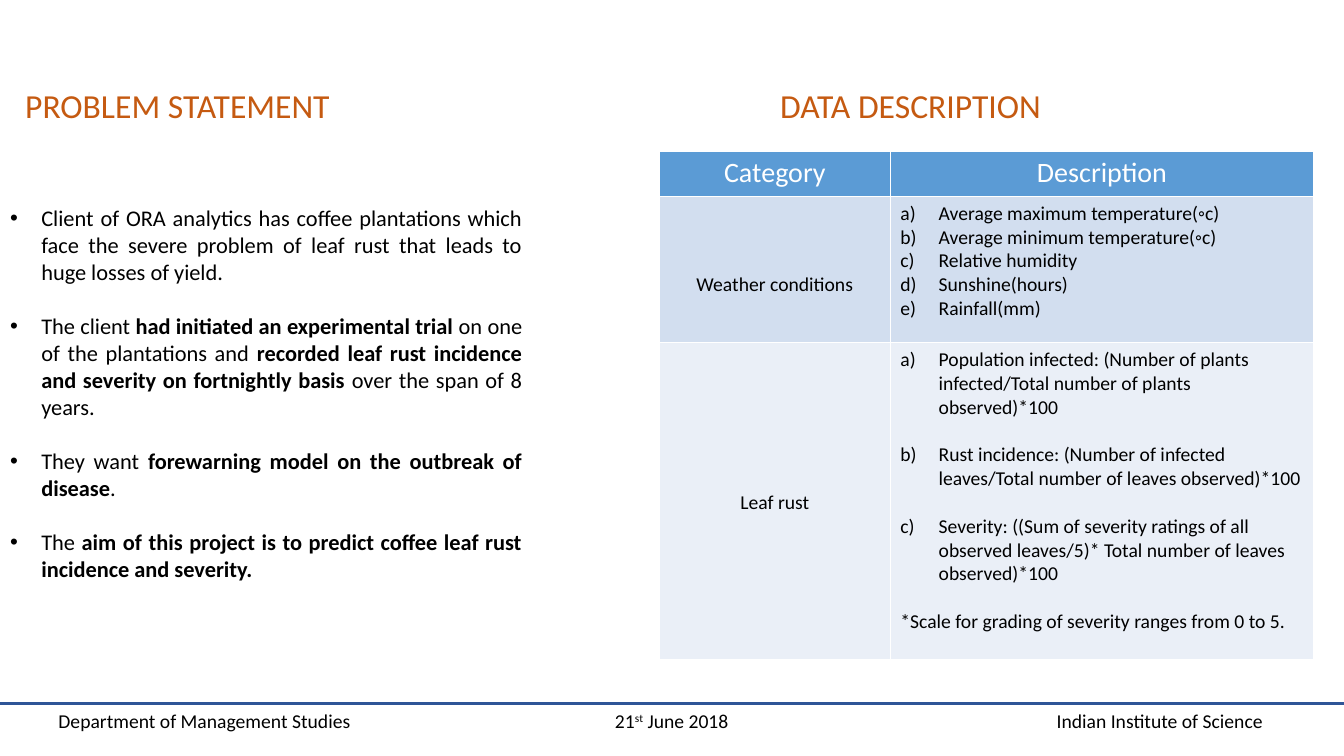
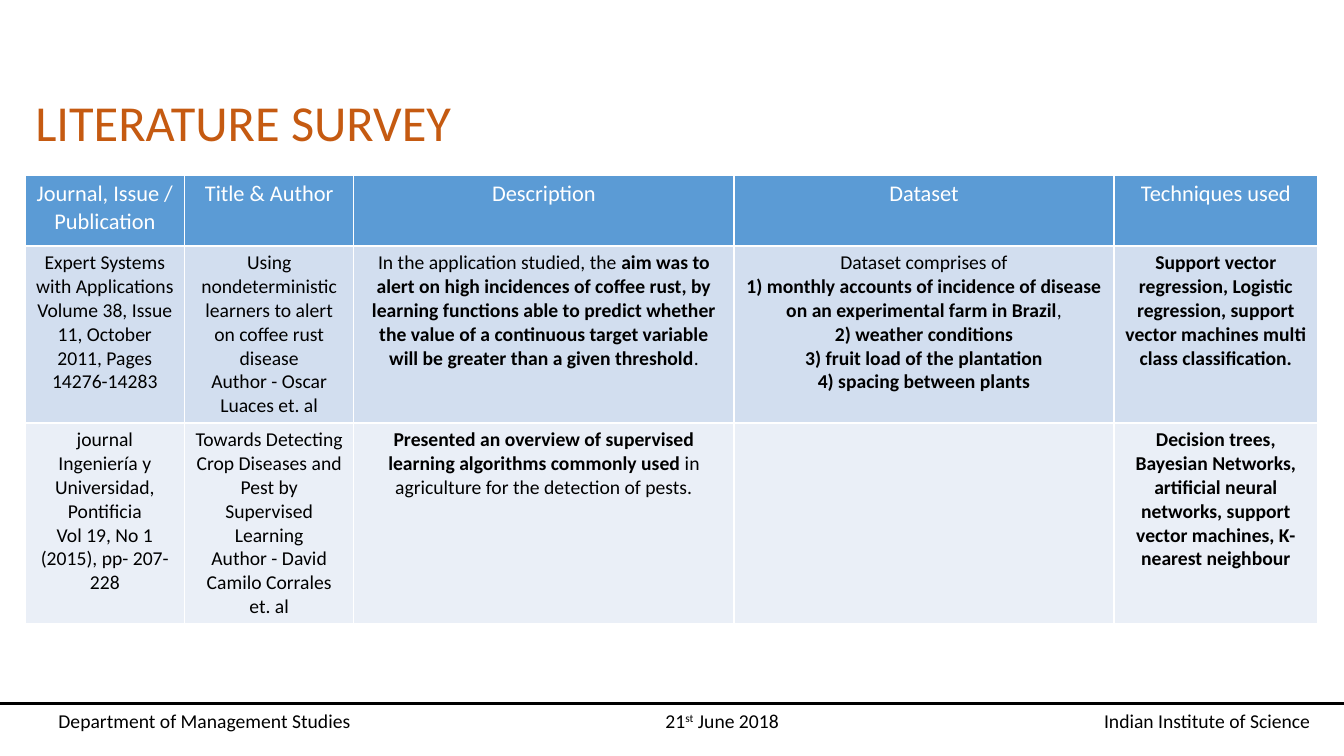
from dataclasses import dataclass

from lxml.etree import SubElement
from pptx import Presentation
from pptx.dml.color import RGBColor
from pptx.enum.shapes import MSO_CONNECTOR as Link
from pptx.enum.text import MSO_ANCHOR as Anchor, MSO_AUTO_SIZE as Fit, PP_ALIGN as Align
from pptx.oxml.ns import qn
from pptx.shapes.autoshape import Shape
from pptx.slide import Slide
from pptx.text.text import TextFrame
from pptx.util import Inches, Pt

FONT = "Calibri"
BLACK = RGBColor(0x00, 0x00, 0x00)
WHITE = RGBColor(0xFF, 0xFF, 0xFF)
RUST = RGBColor(0xC5, 0x5A, 0x11)
NAVY = RGBColor(0x2F, 0x55, 0x97)
BLUE = RGBColor(0x5B, 0x9B, 0xD5)
BANDS = (RGBColor(0xD2, 0xDE, 0xEF), RGBColor(0xEA, 0xEF, 0xF7))
WIDE, FOOT = 13.33, 6.98
EDGE = 0.58


@dataclass(frozen=True)
class Box:
    """Place and size in inches."""
    left: float
    top: float
    width: float
    height: float


@dataclass(frozen=True)
class Look:
    """Style of a block of text."""
    size: float
    color: RGBColor = BLACK
    align: Align = Align.LEFT
    gap: float = 0
    indent: float = 0
    mark: str = ""


@dataclass(frozen=True)
class Cell:
    """Table text, with bold parts between bars."""
    text: str
    look: Look = Look(14, align=Align.CENTER)
    top: float = 0.05
    note: str = ""


@dataclass(frozen=True)
class Grid:
    """A table with its column widths and row heights."""
    left: float
    top: float
    cols: tuple[float, ...]
    rows: tuple[float, ...]
    size: float
    heads: tuple[str, ...]
    cells: tuple[tuple[Cell, ...], ...]


def write(frame: TextFrame, text: str, look: Look, more: bool = False) -> None:
    """Write lines of text in one style."""
    for row, line in enumerate(text.split("\n")):
        para = frame.add_paragraph() if row or more else frame.paragraphs[0]
        para.alignment = look.align
        para.line_spacing = 1.0
        para.space_before = Pt(0)
        para.space_after = Pt(look.gap)
        if look.mark:
            props = para._p.get_or_add_pPr()
            props.set("marL", str(Inches(look.indent)))
            props.set("indent", str(-Inches(look.indent)))
            if look.mark == "•":
                SubElement(props, qn("a:buChar")).set("char", look.mark)
            else:
                SubElement(props, qn("a:buAutoNum")).set("type", look.mark)
        for turn, part in enumerate(line.split("|")):
            if part:
                run = para.add_run()
                run.text = part
                run.font.name = FONT
                run.font.size = Pt(look.size)
                run.font.bold = turn % 2 == 1
                run.font.color.rgb = look.color


def place(shape: Shape, box: Box, text: str, look: Look) -> None:
    """Move a text shape and fill it."""
    shape.left, shape.top = Inches(box.left), Inches(box.top)
    shape.width, shape.height = Inches(box.width), Inches(box.height)
    frame = shape.text_frame
    frame.word_wrap = True
    frame.auto_size = Fit.NONE
    frame.vertical_anchor = Anchor.TOP
    write(frame, text, look)


def label(slide: Slide, box: Box, text: str, look: Look) -> Shape:
    """Add a text box."""
    shape = slide.shapes.add_textbox(0, 0, 0, 0)
    place(shape, box, text, look)
    return shape


def footer(slide: Slide, color: RGBColor, stops: tuple[float, float]) -> None:
    """Draw the footer with its rule."""
    text = "Department of Management Studies\t21|st| June 2018\tIndian Institute of Science"
    shape = label(slide, Box(0, FOOT, WIDE, 0.34), text, Look(14))
    shape.text_frame.margin_left = Inches(EDGE)
    shape.text_frame.margin_right = 0
    para = shape.text_frame.paragraphs[0]
    tabs = SubElement(para._p.get_or_add_pPr(), qn("a:tabLst"))
    for stop in stops:
        tab = SubElement(tabs, qn("a:tab"))
        tab.set("pos", str(Inches(stop - EDGE)))
        tab.set("algn", "l")
    mark = para.runs[1].font
    mark.bold = False
    mark._element.set("baseline", "30000")
    rule = slide.shapes.add_connector(
        Link.STRAIGHT, 0, Inches(FOOT), Inches(WIDE), Inches(FOOT))
    rule.line.color.rgb = color
    rule.line.width = Pt(2)
    SubElement(rule._element.spPr, qn("a:effectLst"))


def table(slide: Slide, grid: Grid) -> None:
    """Draw a table with a blue head and banded rows."""
    shape = slide.shapes.add_table(
        len(grid.rows), len(grid.cols), Inches(grid.left), Inches(grid.top),
        Inches(sum(grid.cols)), Inches(sum(grid.rows)))
    for col, width in zip(shape.table.columns, grid.cols):
        col.width = Inches(width)
    for row, height in zip(shape.table.rows, grid.rows):
        row.height = Inches(height)
    head = Look(grid.size, WHITE, Align.CENTER)
    lines = (tuple(Cell(text, head) for text in grid.heads), *grid.cells)
    for row, (line, color) in enumerate(zip(lines, (BLUE, *BANDS))):
        for col, item in enumerate(line):
            cell = shape.table.cell(row, col)
            cell.fill.solid()
            cell.fill.fore_color.rgb = color
            cell.margin_top = Inches(item.top)
            write(cell.text_frame, item.text, item.look)
            if item.note:
                write(cell.text_frame, item.note, Look(14), True)


HEAD = Look(24, RUST)
POINTS = Look(16, align=Align.JUSTIFY, gap=19.5, indent=0.31, mark="•")
ITEMS = Look(14, indent=0.38, mark="alphaLcParenR")
SPACED = Look(14, gap=17, indent=0.38, mark="alphaLcParenR")

PROBLEM = """Client of ORA analytics has coffee plantations which face the severe problem of leaf rust that leads to huge losses of yield.
The client |had initiated an experimental trial| on one of the plantations and |recorded leaf rust incidence and severity on fortnightly basis| over the span of 8 years.
They want |forewarning model on the outbreak of disease|.
The |aim of this project is to predict coffee leaf rust incidence and severity.|"""

DATA = Grid(
    6.54, 1.5, (2.29, 4.2), (0.45, 1.45, 3.14), 20, ("Category", "Description"), (
        (Cell("Weather conditions", top=0.76),
         Cell("Average maximum temperature(◦c)\nAverage minimum temperature(◦c)\n"
              "Relative humidity\nSunshine(hours)\nRainfall(mm)", ITEMS)),
        (Cell("Leaf rust", top=1.47),
         Cell("Population infected: (Number of plants infected/Total number of plants observed)*100\n"
              "Rust incidence: (Number of infected leaves/Total number of leaves observed)*100\n"
              "Severity: ((Sum of severity ratings of all observed leaves/5)* Total number of leaves observed)*100",
              SPACED, note="*Scale for grading of severity ranges from 0 to 5."))))

SURVEY = Grid(
    0.25, 1.74, (1.58, 1.68, 3.77, 3.77, 2.02), (0.7, 1.73, 1.74), 16,
    ("Journal, Issue / Publication", "Title & Author", "Description", "Dataset", "Techniques used"), (
        (Cell("Expert Systems with Applications\nVolume 38, Issue 11, October 2011, Pages 14276-14283"),
         Cell("Using nondeterministic learners to alert on coffee rust disease\nAuthor - Oscar Luaces et. al"),
         Cell("In the application studied, the |aim was to alert on high incidences of coffee rust, by learning "
              "functions able to predict whether the value of a continuous target variable will be greater "
              "than a given threshold|."),
         Cell("Dataset comprises of\n"
              "|1) monthly accounts of incidence of disease on an experimental farm in Brazil|,\n"
              "|2) weather conditions|\n|3) fruit load of the plantation|\n|4) spacing between plants|"),
         Cell("|Support vector regression, Logistic regression, support vector machines multi class classification.|")),
        (Cell("journal Ingeniería y Universidad, Pontificia\nVol 19, No 1 (2015), pp- 207-228"),
         Cell("Towards Detecting Crop Diseases and Pest by Supervised Learning\n"
              "Author - David Camilo Corrales et. al"),
         Cell("|Presented an overview of supervised learning algorithms commonly used| in agriculture "
              "for the detection of pests."),
         Cell(""),
         Cell("|Decision trees, Bayesian Networks, artificial neural networks, support vector machines, "
              "K-nearest neighbour|"))))


def main() -> None:
    """Build and save the slides."""
    deck = Presentation()
    deck.slide_width, deck.slide_height = Inches(WIDE), Inches(7.5)

    slide = deck.slides.add_slide(deck.slide_layouts[1])
    footer(slide, NAVY, (6.1, 10.48))
    place(slide.shapes.title, Box(0.15, 0.79, 5.28, 0.5), "PROBLEM STATEMENT", HEAD)
    place(slide.placeholders[1], Box(0, 1.98, 5.28, 3.87), PROBLEM, POINTS)
    label(slide, Box(7.64, 0.79, 5.83, 0.5), "DATA DESCRIPTION", HEAD)
    table(slide, DATA)

    slide = deck.slides.add_slide(deck.slide_layouts[5])
    footer(slide, BLACK, (6.6, 10.95))
    table(slide, SURVEY)
    place(slide.shapes.title, Box(0.25, 0.85, 7.52, 0.71), "LITERATURE SURVEY", Look(36, RUST))

    deck.save("out.pptx")


if __name__ == "__main__":
    main()
